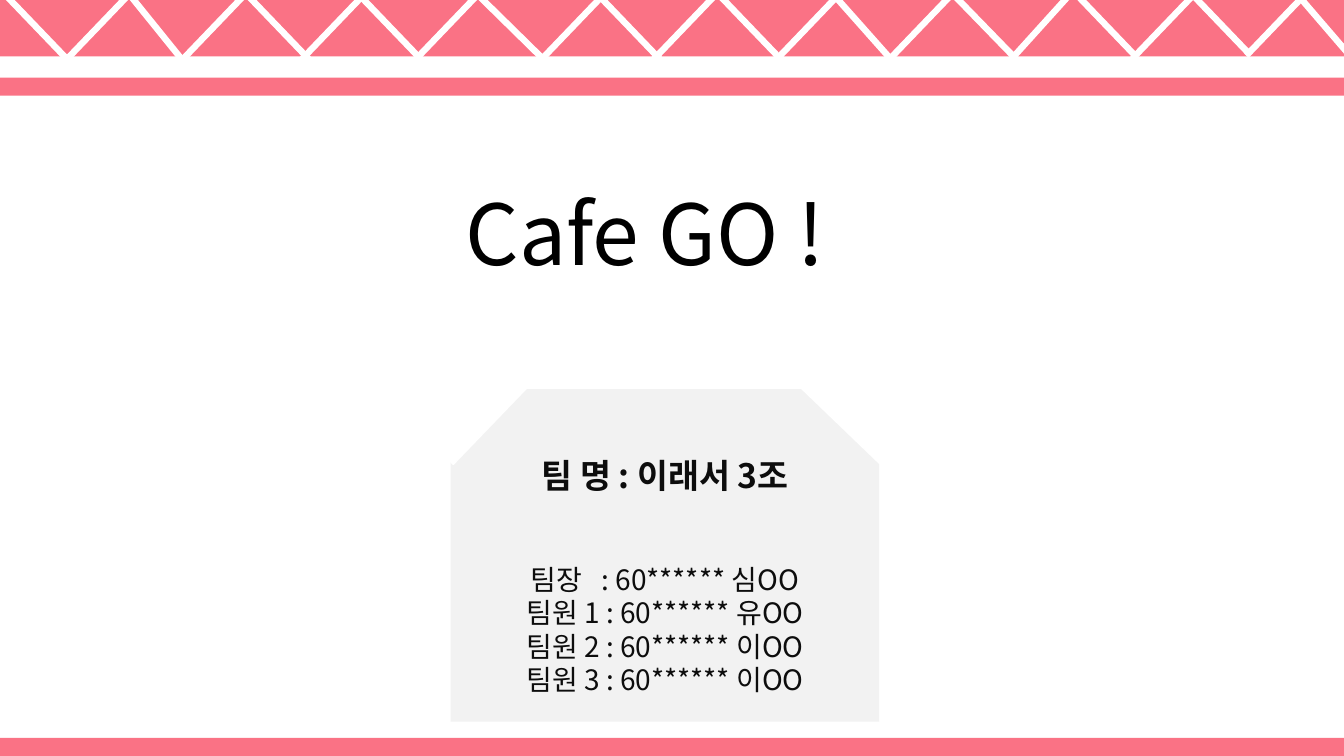
from pptx import Presentation
from pptx.dml.color import RGBColor
from pptx.enum.shapes import MSO_SHAPE as SHAPE
from pptx.enum.text import MSO_ANCHOR as ANCHOR, PP_ALIGN as ALIGN
from pptx.oxml.ns import qn
from pptx.util import Pt
from lxml.etree import SubElement

PX = 9144  # 100 px to the inch
W, H = 1333, 750
FONT = "Noto Sans CJK KR"
COLORS = {"pink": "FA7285", "white": "FFFFFF", "card": "F2F2F2",
          "title": "000000", "text": "0D0D0D"}

LEAN = 43.8
# left, top and turn of each white bar in the zigzag
BARS = [
    (27, -42, -LEAN), (101, -42, LEAN), (144, -45, -38.9), (217, -43, LEAN),
    (262, -47, -LEAN), (337, -45, LEAN), (374, -46, -LEAN), (449, -44, LEAN),
    (496, -43, -45.5), (569, -39, LEAN), (613, -44, -LEAN), (686, -45, LEAN),
    (729, -48, -LEAN), (807, -44, LEAN), (845, -44, -41.6), (917, -42, LEAN),
    (962, -48, -44.2), (1041, -48, 42.1), (1080, -52, -LEAN), (1164, -49, LEAN),
    (1193, -54, -LEAN), (1277, -52, LEAN), (1301, -48, -40.7),
]
MEMBERS = [("팀장", ": 60****** 심OO"), ("팀원", "1 : 60****** 유OO"),
           ("팀원", "2 : 60****** 이OO"), ("팀원", "3 : 60****** 이OO")]


def rgb(name):
    return RGBColor.from_string(COLORS[name])


def emu(*lengths):
    return [n * PX for n in lengths]


def add_rect(s, box, color, turn=0, outlined=False):
    sp = s.shapes.add_shape(SHAPE.RECTANGLE, *emu(*box))
    sp.shadow.inherit = False
    sp.rotation = turn
    sp.fill.solid()
    sp.fill.fore_color.rgb = rgb(color)
    if outlined:
        sp.line.color.rgb = rgb(color)
        sp.line.width = Pt(1)
    else:
        sp.line.fill.background()
    return sp


def add_run(p, text, size, color, bold=False, spacing=0):
    r = p.add_run()
    r.text = text
    for name, value in {"size": Pt(size), "bold": bold, "name": FONT}.items():
        setattr(r.font, name, value)
    r.font.color.rgb = rgb(color)
    rpr = r.font._element
    SubElement(rpr, qn("a:ea")).set("typeface", FONT)
    if spacing:
        rpr.set("spc", str(spacing * 100))


def add_header(s, x, y, w):
    add_rect(s, (x, y - 7, w, 63), "pink")
    add_rect(s, (x, y + 77, w, 18), "pink")
    for left, top, turn in BARS:
        add_rect(s, (x + left, y + top, 5, 124), "white", turn, outlined=True)


def add_title(s, x, y, w, h):
    tf = s.shapes.add_textbox(*emu(x, y, w, h)).text_frame
    tf.word_wrap = True
    add_run(tf.paragraphs[0], "Cafe GO !", 60, "title")


def add_team_card(s, x, y, w, h):
    """Card with the team list; two turned white squares cut its top corners."""
    tf = add_rect(s, (x, y, w, h), "card").text_frame
    tf.word_wrap = True
    tf.vertical_anchor = ANCHOR.MIDDLE
    tf.margin_top = 45 * PX
    p = tf.paragraphs[0]
    p.alignment = ALIGN.CENTER
    add_run(p, "팀 명 : 이래서 3조", 24, "text", bold=True)
    for i, (role, details) in enumerate(MEMBERS):
        p = tf.add_paragraph()
        p.alignment = ALIGN.CENTER
        if i == 0:
            p.space_before = Pt(48)
        add_run(p, role, 20, "text")
        # the leader has no number, so the gap is widened
        add_run(p, " ", 20, "text", spacing=9 if i == 0 else 0)
        add_run(p, details, 20, "text")
    for dx, dy in ((-64, -58), (w - 60, -53)):
        add_rect(s, (x + dx, y + dy, 120, 106), "white", 43.9, outlined=True)


def main():
    prs = Presentation()
    prs.slide_width, prs.slide_height = emu(W, H)
    s = prs.slides.add_slide(prs.slide_layouts[6])
    add_header(s, 0, 0, W)
    add_title(s, 452, 175, 454, 111)
    add_rect(s, (0, H - 18, W, 18), "pink")
    add_team_card(s, 447, 386, 425, 330)
    prs.save("out.pptx")


if __name__ == "__main__":
    main()
